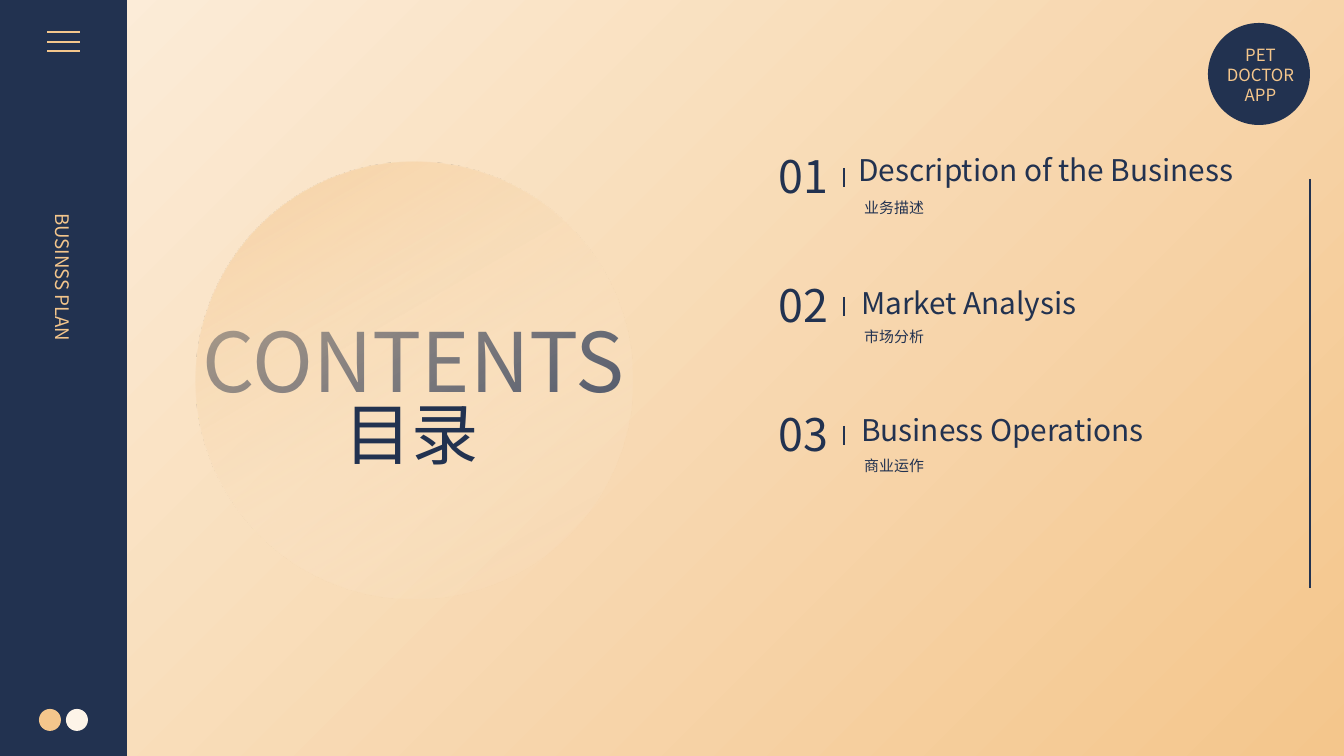
import pptx
import pptx.dml.color
import pptx.enum.shapes
import pptx.enum.text
import pptx.util
from lxml import etree

PX = 914400 / 134.4
FONT = "Noto Sans CJK SC"
NAVY, GOLD, CREAM, PALE = "223250", "F4C68C", "FDF4E8", "FCEEDC"
A = "{http://schemas.openxmlformats.org/drawingml/2006/main}"
SHAPE = pptx.enum.shapes.MSO_SHAPE
ALIGN = pptx.enum.text.PP_ALIGN


def px(*lengths):
    return [pptx.util.Emu(round(n * PX)) for n in lengths]


def rgb(color):
    return pptx.dml.color.RGBColor.from_string(color)


prs = pptx.Presentation()
prs.slide_width, prs.slide_height = px(1344, 756)
s = prs.slides.add_slide(prs.slide_layouts[5])

# Background, running from gold at bottom right to pale at top left
fill = s.background.fill
fill.gradient()
fill.gradient_angle = 135
for stop, color in zip(fill.gradient_stops, (GOLD, PALE)):
    stop.color.rgb = rgb(color)

# Filled shapes: the large disc, the sidebar, two dots and the badge
for kind, x, y, w, h, color in [
    (SHAPE.OVAL, 196, 162, 436, 436, None),
    (SHAPE.RECTANGLE, 0, 0, 127, 756, NAVY),
    (SHAPE.OVAL, 66, 709, 22, 22, CREAM),
    (SHAPE.OVAL, 39, 709, 22, 22, GOLD),
    (SHAPE.OVAL, 1208, 23, 102, 102, NAVY),
]:
    sp = s.shapes.add_shape(kind, *px(x, y, w, h))
    sp.shadow.inherit = False
    sp.line.fill.background()
    if color:
        sp.fill.solid()
        sp.fill.fore_color.rgb = rgb(color)
    else:
        sp.rotation = 330
        sp.fill.gradient()
        sp.fill.gradient_angle = 270
        top, bottom = sp.fill.gradient_stops
        top.color.rgb, bottom.color.rgb = rgb(GOLD), rgb(PALE)
        top.position, bottom.position = 0, 0.84
        clear = sp._element.spPr.findall(f".//{A}srgbClr")[-1]
        etree.SubElement(clear, A + "alpha", val="0")

# Lines: menu icon, right-hand rule, and a tick beside each number
lines = [(47, y, 80, y, GOLD) for y in (32, 42, 51)]
lines.append((1310, 179, 1310, 588, NAVY))
lines += [(844, 168 + 129 * i, 844, 187 + 129 * i, NAVY) for i in range(3)]
for x1, y1, x2, y2, color in lines:
    line = s.shapes.add_connector(
        pptx.enum.shapes.MSO_CONNECTOR.STRAIGHT, *px(x1, y1, x2, y2))
    line.line.color.rgb = rgb(color)
    line.line.width = pptx.util.Pt(1.5)
    etree.SubElement(line._element.spPr, A + "effectLst")

# Text: x, y, width, height, size, colour, alignment, rotation
texts = [
    ("CONTENTS", 169, 304, 489, 113, 44, NAVY, ALIGN.CENTER, 0),
    ("目录", 130, 386, 563, 95, 36, NAVY, ALIGN.CENTER, 0),
    ("BUSINSS PLAN", -121, 366, 368, 36, 10, GOLD, ALIGN.JUSTIFY, 90),
    ("PET\nDOCTOR\nAPP", 1208, 38, 105, 73, 9, GOLD, ALIGN.CENTER, 0),
]
items = [
    ("Description of the Business", 845, 145, "业务描述"),
    ("Market Analysis", 848, 278, "市场分析"),
    ("Business Operations", 848, 405, "商业运作"),
]
for i, (name, x, y, chinese) in enumerate(items):
    texts += [
        (f"{i + 1:02}", 762, 142 + 129 * i, 83, 67, 24, NAVY, ALIGN.CENTER, 0),
        (name, x, y, 462, 50, 16, NAVY, ALIGN.LEFT, 0),
        (chinese, 851, 192 + 129 * i, 275, 31, 8, NAVY, ALIGN.LEFT, 0),
    ]
for text, x, y, w, h, size, color, align, rotation in texts:
    if text == "CONTENTS":
        sp = s.shapes.title
        sp.left, sp.top, sp.width, sp.height = px(x, y, w, h)
    else:
        sp = s.shapes.add_textbox(*px(x, y, w, h))
    sp.rotation = rotation
    tf = sp.text_frame
    tf.text = text
    tf.word_wrap = True
    tf.auto_size = pptx.enum.text.MSO_AUTO_SIZE.NONE
    tf.vertical_anchor = pptx.enum.text.MSO_ANCHOR.TOP
    for p in tf.paragraphs:
        p.alignment = align
        p.font.name = FONT
        p.font.size = pptx.util.Pt(size)
        p.font.color.rgb = rgb(color)

prs.save("out.pptx")
